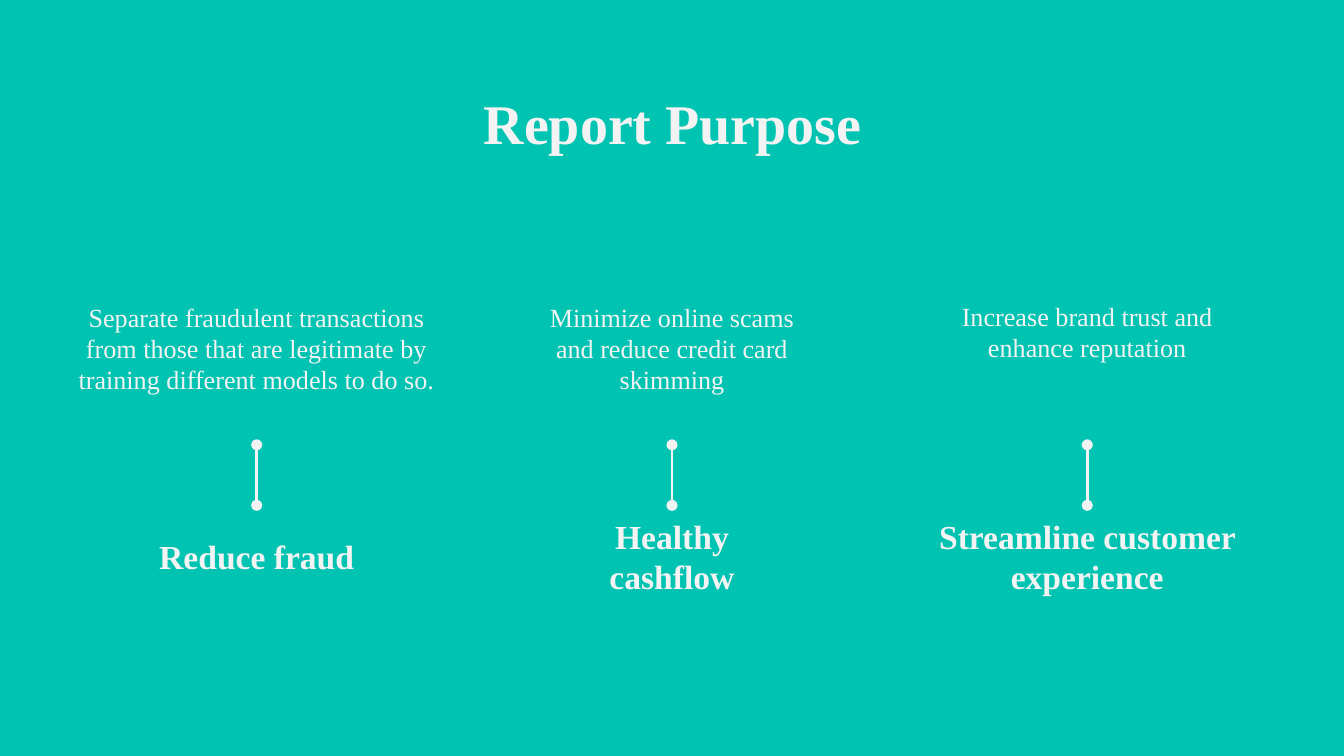
from lxml.etree import SubElement
from pptx import Presentation
from pptx.dml.color import RGBColor
from pptx.enum.shapes import MSO_CONNECTOR
from pptx.enum.text import MSO_ANCHOR, PP_ALIGN
from pptx.oxml.ns import qn
from pptx.util import Inches, Pt

WIDTH = 10
HEIGHT = WIDTH * 9 / 16
FONT = "Times New Roman"
TEAL, PALE = "00C3B1", "F3F3F3"

# Three equal columns centred on the slide
COLUMN_WIDTH = 3.09
COLUMN_LEFT = (WIDTH - 3 * COLUMN_WIDTH) / 2
BODY_BOTTOM, HEADING_TOP, HEADING_HEIGHT = 3.31, 3.76, 0.75

# Body text, body width, body height, heading, heading width
PURPOSES = [
    ("Separate fraudulent transactions from those that are legitimate "
     "by training different models to do so.", 2.93, 1.44, "Reduce fraud", 1.68),
    ("Minimize online scams and reduce credit card skimming",
     2.25, 1.44, "Healthy cashflow", 1.68),
    ("Increase brand trust and enhance reputation",
     2.25, 1.69, "Streamline customer experience", 2.81),
]


def color(value):
    return RGBColor.from_string(value)


def add_text(slide, box, text, size, bold=False, inset=0.1,
             anchor=MSO_ANCHOR.MIDDLE, after=0):
    shape = slide.shapes.add_textbox(*(Inches(length) for length in box))
    frame = shape.text_frame
    frame.word_wrap = True
    frame.vertical_anchor = anchor
    frame.margin_left = frame.margin_right = Inches(inset)
    frame.margin_top = frame.margin_bottom = Inches(inset)
    paragraph = frame.paragraphs[0]
    paragraph.alignment = PP_ALIGN.CENTER
    paragraph.space_after = Pt(after)
    run = paragraph.add_run()
    run.text = text
    run.font.name = FONT
    run.font.size = Pt(size)
    run.font.bold = bold
    run.font.color.rgb = color(PALE)
    return shape


def add_link(slide, upper, lower):
    """Join the bottom of one box to the top of the next with a dotted-end line."""
    link = slide.shapes.add_connector(MSO_CONNECTOR.STRAIGHT, 0, 0, 0, 0)
    link.begin_connect(upper, 2)
    link.end_connect(lower, 0)
    link.line.color.rgb = color(PALE)
    link.line.width = Pt(1.5)
    properties = link._element.spPr
    outline = properties.find(qn("a:ln"))
    for end in ("a:headEnd", "a:tailEnd"):
        SubElement(outline, qn(end), type="oval")
    SubElement(properties, qn("a:effectLst"))


def add_title(slide, box):
    add_text(slide, box, "Report Purpose", 30, bold=True, anchor=MSO_ANCHOR.TOP)


def add_purpose(slide, left, width, purpose):
    body, body_width, body_height, heading, heading_width = purpose
    center = left + width / 2
    # Description, standing on the common bottom line
    upper = add_text(
        slide, (center - body_width / 2, BODY_BOTTOM - body_height, body_width, body_height),
        body, 14, after=16)
    # Heading below it
    lower = add_text(
        slide, (center - heading_width / 2, HEADING_TOP, heading_width, HEADING_HEIGHT),
        heading, 18, bold=True, inset=0)
    add_link(slide, upper, lower)


def main():
    presentation = Presentation()
    presentation.slide_width = Inches(WIDTH)
    presentation.slide_height = Inches(HEIGHT)
    slide = presentation.slides.add_slide(presentation.slide_layouts[6])

    # Background
    fill = slide.background.fill
    fill.solid()
    fill.fore_color.rgb = color(TEAL)

    # Title and columns
    add_title(slide, (0.79, 0.56, 8.43, 0.63))
    for index, purpose in enumerate(PURPOSES):
        add_purpose(slide, COLUMN_LEFT + index * COLUMN_WIDTH, COLUMN_WIDTH, purpose)

    presentation.save("out.pptx")


if __name__ == "__main__":
    main()
